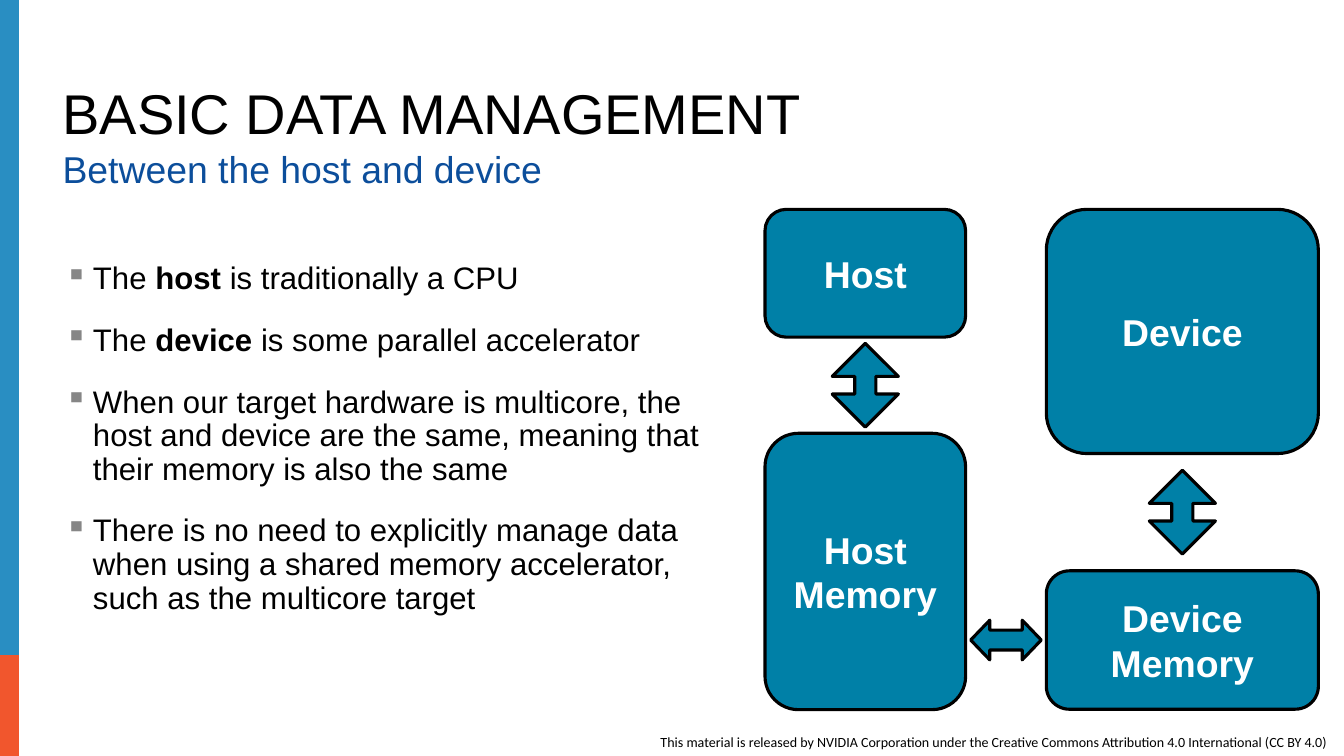
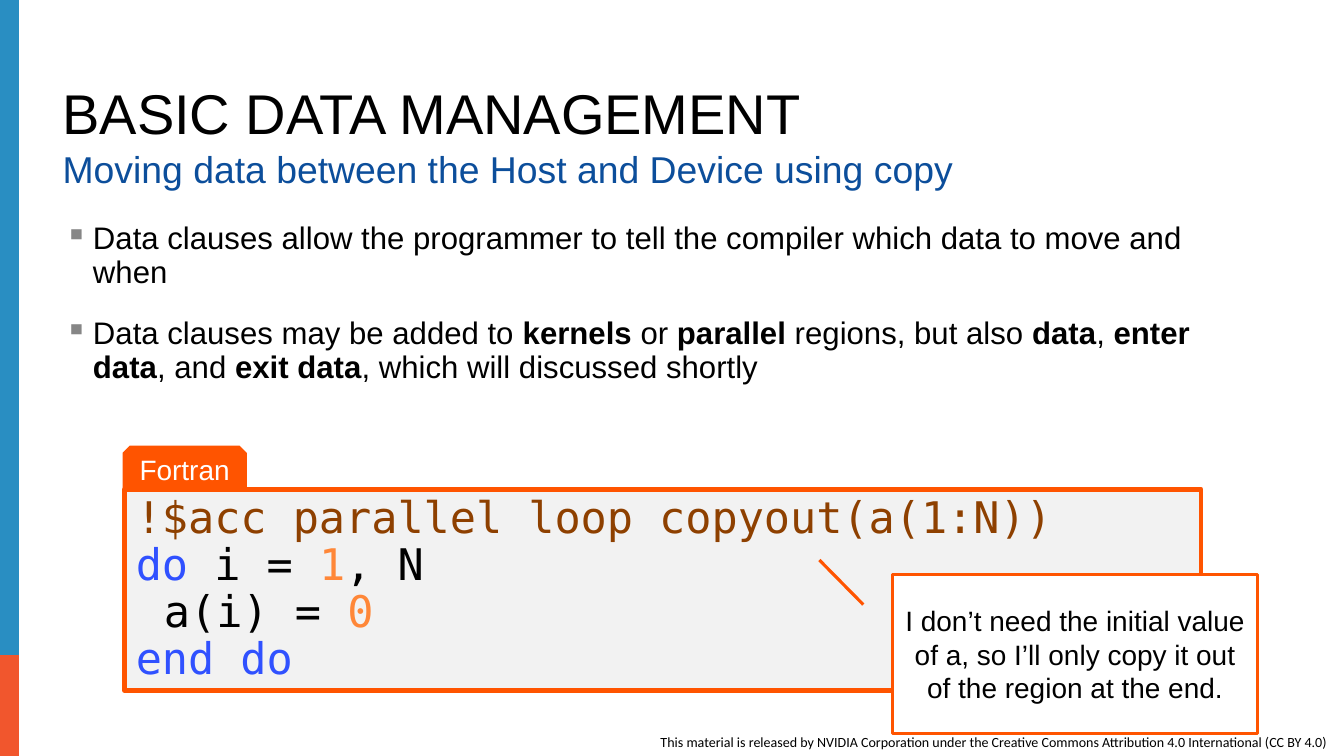
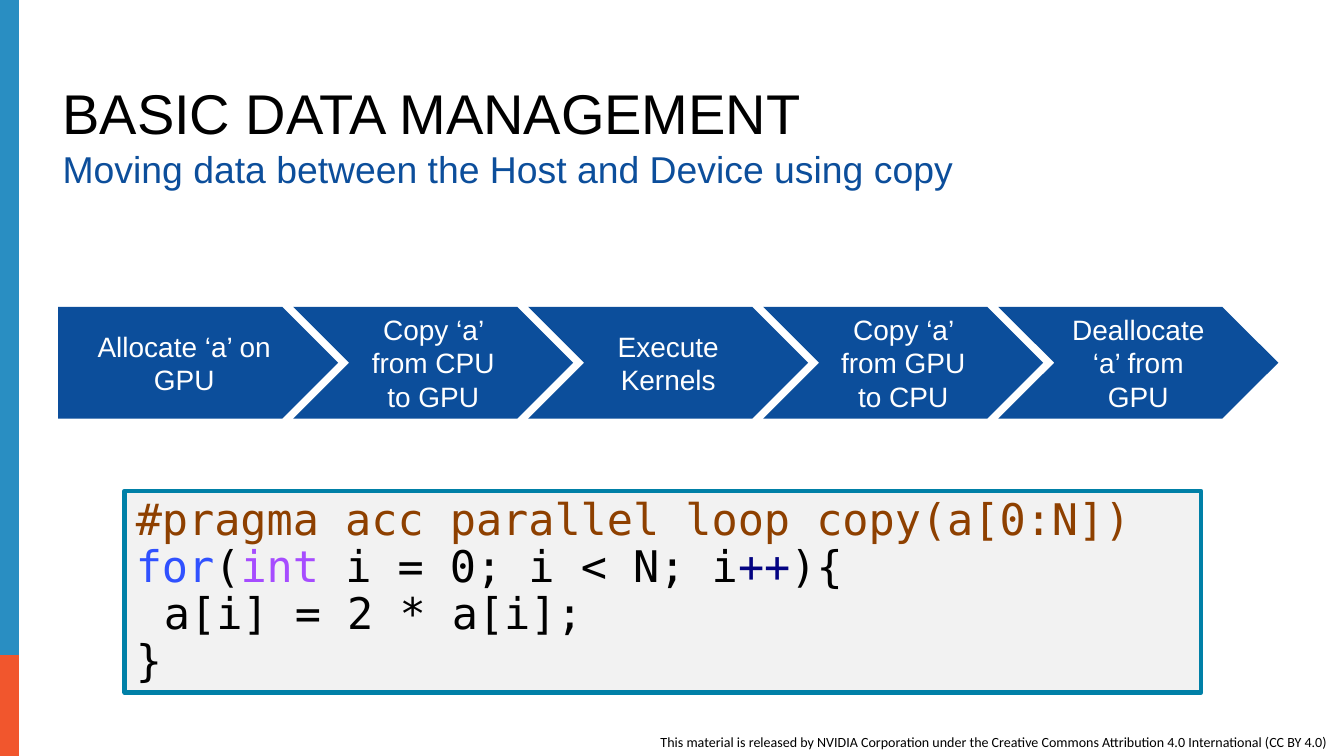
from collections import namedtuple
from dataclasses import dataclass

from lxml import etree
from pptx import Presentation
from pptx import util as u
from pptx.dml.color import RGBColor
from pptx.enum import shapes, text
from pptx.oxml import ns

Box = namedtuple("Box", "x y w h")
KINDS = shapes.MSO_SHAPE
ANCHOR = text.MSO_ANCHOR
ALIGN = text.PP_ALIGN


@dataclass(frozen=True)
class Theme:
    sans: str = "Arial"
    mono: str = "DejaVu Sans Mono"
    footer_font: str = "Calibri"
    black: str = "000000"
    white: str = "FFFFFF"
    blue: str = "0C4E9B"
    teal: str = "0080A7"
    orange: str = "FF5400"
    band_blue: str = "298EC2"
    band_orange: str = "F1562D"
    code_fill: str = "F2F2F2"
    bullet: str = "868686"
    directive: str = "8E4000"
    keyword: str = "3051FF"
    type_name: str = "A64CFF"
    number: str = "FF8738"
    operator: str = "030382"
    title_size: int = 36
    code_size: int = 28
    heading_size: int = 24
    body_size: int = 20
    label_size: int = 18
    footer_size: int = 9


T = Theme()
TITLE = "BASIC DATA MANAGEMENT"
LICENCE = ("This material is released by NVIDIA Corporation under the Creative Commons "
           "Attribution 4.0 International (CC BY 4.0)")
CODE_AREA = Box(2.83, 11.1, 24.41, 4.57)


def apply(target, values):
    for name, value in values.items():
        setattr(target, name, value)


def cm(box):
    return [u.Cm(v) for v in box]


def inside(area, x, y, w, h):
    return Box(area.x + x, area.y + y, w, h)


def add_bullet(p):
    pPr = p._p.get_or_add_pPr()
    apply_indent = {"marL": u.Cm(0.64), "indent": -u.Cm(0.64)}
    for name, value in apply_indent.items():
        pPr.set(name, str(int(value)))
    colour = etree.SubElement(pPr, ns.qn("a:buClr"))
    etree.SubElement(colour, ns.qn("a:srgbClr"), val=T.bullet)
    etree.SubElement(pPr, ns.qn("a:buChar"), char="▪")


def add_tab_stop(p):
    tabs = etree.SubElement(p._p.get_or_add_pPr(), ns.qn("a:tabLst"))
    etree.SubElement(tabs, ns.qn("a:tab"), pos=str(int(u.Cm(0.64))), algn="l")


def write(sp, paragraphs, size, colour=T.black, font=T.sans, bold=False, anchor=ANCHOR.TOP,
          decorate=None, **layout):
    tf = sp.text_frame
    apply(tf, {"word_wrap": True, "vertical_anchor": anchor})
    for i, runs in enumerate(paragraphs):
        p = tf.paragraphs[0] if i == 0 else tf.add_paragraph()
        if decorate:
            decorate(p)
        apply(p, layout)
        if i == 0 and "space_before" in layout:
            p.space_before = u.Pt(0)
        for content, own in runs:
            values = {"name": font, "size": u.Pt(size), "bold": bold, **own}
            run_colour = values.pop("colour", colour)
            r = p.add_run()
            r.text = content
            apply(r.font, values)
            r.font.color.rgb = RGBColor.from_string(run_colour)


def add_text(s, box, paragraphs, size, **style):
    sp = s.shapes.add_textbox(*cm(box))
    write(sp, paragraphs, size, **style)
    return sp


def add_shape(s, kind, box, fill, line=None, width=2, adjust=()):
    sp = s.shapes.add_shape(kind, *cm(box))
    sp.shadow.inherit = False
    sp.fill.solid()
    sp.fill.fore_color.rgb = RGBColor.from_string(fill)
    if line:
        sp.line.color.rgb = RGBColor.from_string(line)
        sp.line.width = u.Pt(width)
    else:
        sp.line.fill.background()
    for i, value in enumerate(adjust):
        sp.adjustments[i] = value
    return sp


def label(sp, content, size=T.label_size, colour=T.white, bold=False):
    write(sp, [[(content, {})]], size, colour=colour, bold=bold,
          anchor=ANCHOR.MIDDLE, alignment=ALIGN.CENTER)


def new_slide(prs, subtitle):
    s = prs.slides.add_slide(prs.slide_layouts[6])
    add_text(s, Box(14.73, 16.51, 15.75, 0.64), [[(LICENCE, {})]], T.footer_size,
             font=T.footer_font)
    add_shape(s, KINDS.RECTANGLE, Box(0, 12.88, 0.43, 4.27), T.band_orange)
    add_shape(s, KINDS.RECTANGLE, Box(0, 0, 0.43, 14.86), T.band_blue)
    add_text(s, Box(1.17, 1.8, 27.71, 1.65), [[(TITLE, {})]], T.title_size,
             anchor=ANCHOR.BOTTOM, line_spacing=0.9)
    add_text(s, Box(1.17, 3.3, 27.71, 1.45), [[(subtitle, {})]], T.heading_size,
             colour=T.blue, line_spacing=0.9, space_after=u.Pt(9))
    return s


def bullet_list(s, box, items):
    paragraphs = [[(part, {"bold": i % 2 == 1}) for i, part in enumerate(item.split("*"))]
                  for item in items]
    add_text(s, box, paragraphs, T.body_size, decorate=add_bullet, line_spacing=0.9,
             space_before=u.Pt(9), space_after=u.Pt(9))


def memory_diagram(s, area):
    host = inside(area, 0, 0, 4.55, 2.9)
    device = inside(area, 6.38, 0, 6.17, 5.54)
    host_memory = inside(area, 0, 5.08, 4.55, 6.27)
    device_memory = inside(area, 6.38, 8.2, 6.17, 3.14)
    blocks = {"Host": host, "Device": device, "Host Memory": host_memory,
              "Device Memory": device_memory}
    for name, box in blocks.items():
        sp = add_shape(s, KINDS.ROUNDED_RECTANGLE, box, T.teal, T.black)
        label(sp, name, T.heading_size, bold=True)

    def arrow(kind, x, y, w, h, head):
        add_shape(s, kind, Box(x - w / 2, y - h / 2, w, h), T.teal, T.black,
                  adjust=(0.5, head))

    for top, bottom in ((host, host_memory), (device, device_memory)):
        arrow(KINDS.UP_DOWN_ARROW, top.x + top.w / 2, (top.y + top.h + bottom.y) / 2,
              1.5, 1.9, 0.32)
    arrow(KINDS.LEFT_RIGHT_ARROW, (host_memory.x + host_memory.w + device_memory.x) / 2,
          device_memory.y + device_memory.h / 2, 1.6, 0.9, 0.48)


def code_block(s, box, lines, border):
    sp = add_shape(s, KINDS.RECTANGLE, box, T.code_fill, border, 3)
    paragraphs = [[(part, {"colour": colour}) for part, colour in line] for line in lines]
    write(sp, paragraphs, T.code_size, font=T.mono, anchor=ANCHOR.MIDDLE,
          decorate=add_tab_stop, line_spacing=0.9, alignment=ALIGN.LEFT)


def language_tab(s, code, name):
    sp = add_shape(s, KINDS.SNIP_2_SAME_RECTANGLE, inside(code, -0.05, -0.99, 2.82, 0.99),
                   T.orange)
    label(sp, name)


def callout(s, box, content):
    sp = add_shape(s, KINDS.LINE_CALLOUT_1, box, T.white, T.orange,
                   adjust=(0.19, -0.08, -0.09, -0.2))
    label(sp, content, colour=T.black)


def process_chain(s, area, steps):
    step_width = 6.35
    pitch = (area.w - step_width) / (len(steps) - 1)
    for i, step in enumerate(steps):
        kind = KINDS.CHEVRON if i else KINDS.PENTAGON
        sp = add_shape(s, kind, inside(area, i * pitch, 0, step_width, area.h), T.blue)
        label(sp, step)


def host_device_slide(prs):
    s = new_slide(prs, "Between the host and device")
    bullet_list(s, Box(1.22, 5.84, 15.24, 10.34), [
        "The *host* is traditionally a CPU",
        "The *device* is some parallel accelerator",
        "When our target hardware is multicore, the host and device are the same, "
        "meaning that their memory is also the same",
        "There is no need to explicitly manage data when using a shared memory "
        "accelerator, such as the multicore target",
    ])
    memory_diagram(s, Box(17.35, 4.75, 12.55, 11.35))


def copyout_slide(prs, subtitle):
    s = new_slide(prs, subtitle)
    bullet_list(s, Box(1.22, 4.93, 27.66, 4.85), [
        "Data clauses allow the programmer to tell the compiler which data to move and when",
        "Data clauses may be added to *kernels* or *parallel* regions, but also *data*, "
        "*enter data*, and *exit data*, which will discussed shortly",
    ])
    code_block(s, CODE_AREA, [
        [("!$acc parallel loop copyout(a(1:N))", T.directive)],
        [("do ", T.keyword), ("i = ", T.black), ("1", T.number), (", N", T.black)],
        [("\ta(i) = ", T.black), ("0", T.number)],
        [("end do", T.keyword)],
    ], T.orange)
    language_tab(s, CODE_AREA, "Fortran")
    callout(s, Box(20.24, 13.03, 8.28, 3.61),
            "I don’t need the initial value of a, so I’ll only copy it out of the region "
            "at the end.")


def copy_slide(prs, subtitle):
    s = new_slide(prs, subtitle)
    process_chain(s, Box(1.32, 6.96, 27.67, 2.54), [
        "Allocate ‘a’ on GPU", "Copy ‘a’ from CPU to GPU", "Execute Kernels",
        "Copy ‘a’ from GPU to CPU", "Deallocate ‘a’ from GPU",
    ])
    code_block(s, inside(CODE_AREA, 0, 0.04, CODE_AREA.w, CODE_AREA.h), [
        [("#pragma acc parallel loop copy(a[0:N])", T.directive)],
        [("for", T.keyword), ("(", T.black), ("int ", T.type_name),
         ("i = 0; i < N; i", T.black), ("++", T.operator), ("){", T.black)],
        [("\ta[i] = 2 * a[i];", T.black)],
        [("}", T.black)],
    ], T.teal)


def main():
    prs = Presentation()
    apply(prs, {"slide_width": u.Cm(30.48), "slide_height": u.Cm(17.15)})
    host_device_slide(prs)
    copy_subtitle = "Moving data between the Host and Device using copy"
    copyout_slide(prs, copy_subtitle)
    copy_slide(prs, copy_subtitle)
    prs.save("out.pptx")


if __name__ == "__main__":
    main()
